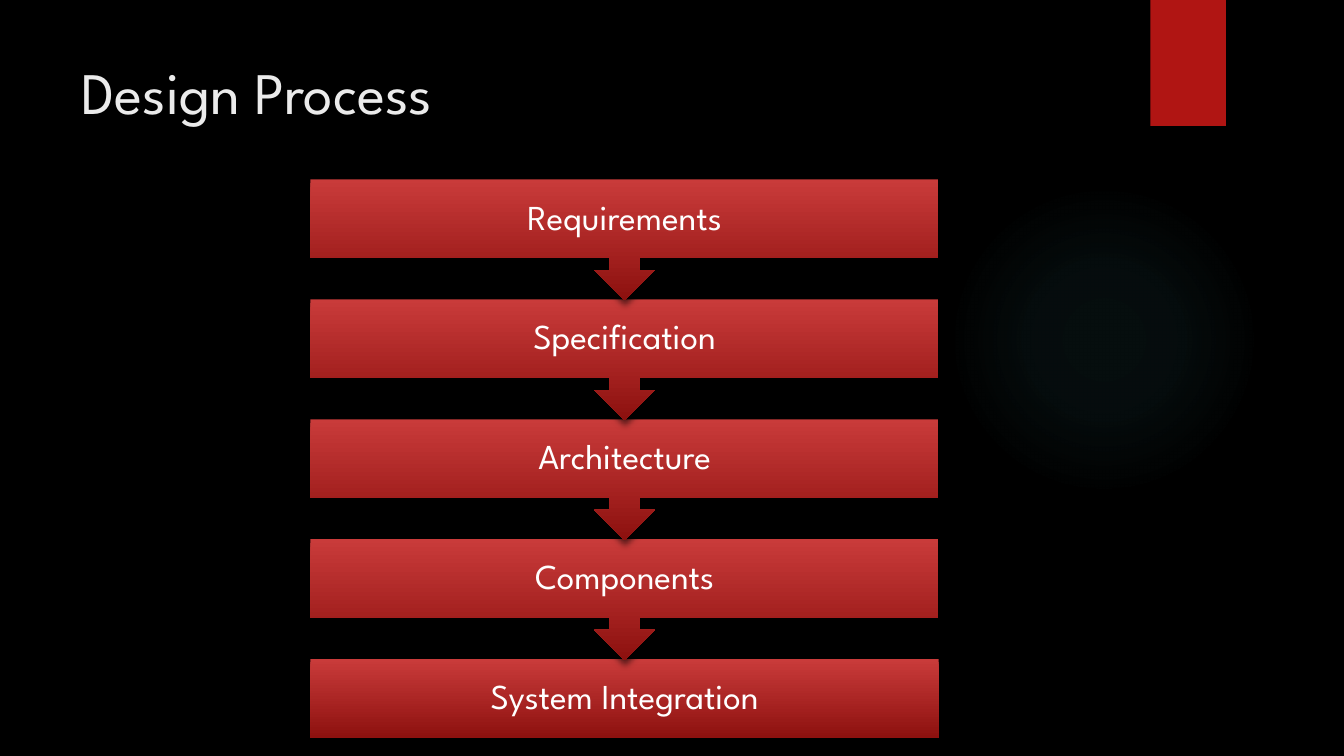
from pptx import Presentation
from pptx.dml.color import RGBColor
from pptx.enum.shapes import MSO_SHAPE
from pptx.enum.text import MSO_ANCHOR, PP_ALIGN
from pptx.oxml import parse_xml
from pptx.oxml.ns import nsdecls, qn
from pptx.util import Inches, Pt


def color(hex_text):
    return RGBColor.from_string(hex_text)


class ProcessSlide:
    """Holds the style and the current slide, and draws each kind of element."""

    font = "League Spartan"
    background = "000000"
    accent = "B01513"
    title_color = "EBEBEB"
    label_color = "FFFFFF"
    glow_stops = [(0, "50B9C1", 7), (36, "50B9C1", 6), (69, "50B9C1", 0)]
    step_stops = [(0, "C93B3A", 100), (100, "8D110F", 100)]
    linear = '<a:lin ang="5400000" scaled="0"/>'
    radial = (
        '<a:path path="circle">'
        '<a:fillToRect l="50000" t="50000" r="50000" b="50000"/></a:path>'
    )

    def __init__(self, deck):
        self.page = deck.slides.add_slide(deck.slide_layouts[6])
        fill = self.page.background.fill
        fill.solid()
        fill.fore_color.rgb = color(self.background)

    def shape(self, kind, left, top, width, height):
        shape = self.page.shapes.add_shape(
            kind, Inches(left), Inches(top), Inches(width), Inches(height)
        )
        shape.line.fill.background()
        shape.shadow.inherit = False
        return shape

    def gradient(self, shape, stops, direction):
        shape.fill.gradient()
        stop_xml = "".join(
            f'<a:gs pos="{position * 1000}"><a:srgbClr val="{hex_text}">'
            f'<a:alpha val="{opacity * 1000}"/></a:srgbClr></a:gs>'
            for position, hex_text, opacity in stops
        )
        properties = shape.element.spPr
        properties.replace(
            properties.find(qn("a:gradFill")),
            parse_xml(
                f'<a:gradFill {nsdecls("a")} rotWithShape="1">'
                f"<a:gsLst>{stop_xml}</a:gsLst>{direction}</a:gradFill>"
            ),
        )

    def shadow(self, shape, opacity, blur, distance):
        shape.element.spPr.find(qn("a:effectLst")).append(
            parse_xml(
                f'<a:outerShdw {nsdecls("a")} blurRad="{Pt(blur)}" '
                f'dist="{Pt(distance)}" dir="5400000" rotWithShape="0">'
                f'<a:srgbClr val="000000"><a:alpha val="{opacity * 1000}"/>'
                "</a:srgbClr></a:outerShdw>"
            )
        )

    def set_text(self, paragraph, text, size, hex_text):
        paragraph.text = text
        paragraph.font.name = self.font
        paragraph.font.size = Pt(size)
        paragraph.font.color.rgb = color(hex_text)

    def glow(self, left, top, diameter):
        glow = self.shape(MSO_SHAPE.OVAL, left, top, diameter, diameter)
        self.gradient(glow, self.glow_stops, self.radial)

    def ribbon(self, left, top, width, height):
        ribbon = self.shape(MSO_SHAPE.RECTANGLE, left, top, width, height)
        ribbon.fill.solid()
        ribbon.fill.fore_color.rgb = color(self.accent)
        self.shadow(ribbon, 45, 3, 2)

    def title(self, text, left, top, width, height):
        box = self.page.shapes.add_textbox(
            Inches(left), Inches(top), Inches(width), Inches(height)
        )
        box.text_frame.word_wrap = True
        self.set_text(box.text_frame.paragraphs[0], text, 42, self.title_color)

    def step(self, kind, text, left, top, width, height):
        step = self.shape(kind, left, top, width, height)
        self.gradient(step, self.step_stops, self.linear)
        self.shadow(step, 60, 5, 3)
        frame = step.text_frame
        frame.word_wrap = True
        frame.vertical_anchor = MSO_ANCHOR.MIDDLE
        frame.margin_left = frame.margin_right = Inches(0.19)
        frame.margin_top = frame.margin_bottom = Inches(0.19)
        label = frame.paragraphs[0]
        label.alignment = PP_ALIGN.CENTER
        label.line_spacing = 0.9
        self.set_text(label, text, 25, self.label_color)

    def process(self, names, left, top, width, pitch):
        last = len(names) - 1
        for index in range(last, -1, -1):
            kind, height = MSO_SHAPE.DOWN_ARROW_CALLOUT, 1.2
            if index == last:
                kind, height = MSO_SHAPE.RECTANGLE, 0.78
            self.step(kind, names[index], left, top + index * pitch, width, height)


def main():
    deck = Presentation()
    deck.slide_width = Inches(13.33)
    deck.slide_height = Inches(7.5)
    slide = ProcessSlide(deck)
    slide.glow(9.41, 1.83, 3.08)
    slide.ribbon(11.41, 0, 0.75, 1.25)
    slide.title("Design Process", 0.71, 0.5, 10.29, 1.53)
    stages = [
        "Requirements",
        "Specification",
        "Architecture",
        "Components",
        "System Integration",
    ]
    slide.process(stages, left=3.08, top=1.78, width=6.23, pitch=1.19)
    deck.save("out.pptx")


if __name__ == "__main__":
    main()
